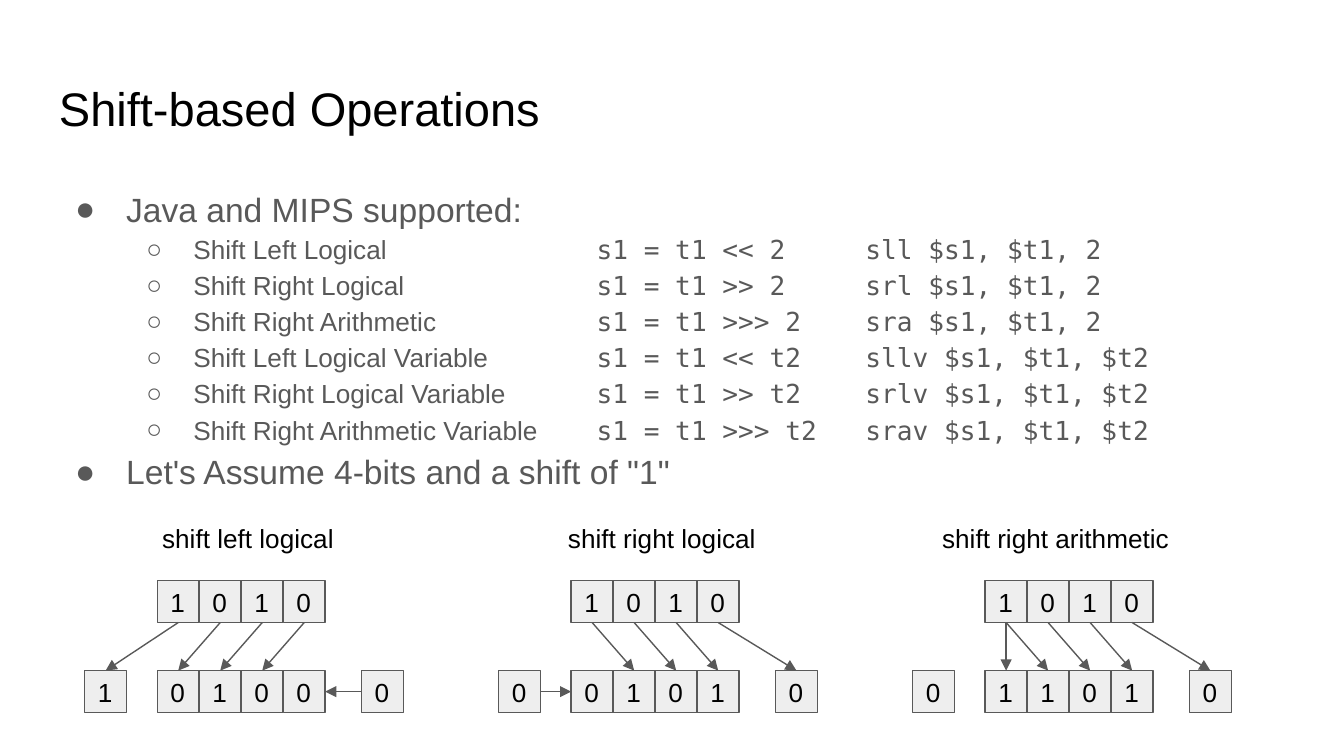
from pptx import Presentation
from pptx.dml.color import RGBColor
from pptx.enum.shapes import MSO_CONNECTOR, MSO_SHAPE
from pptx.enum.text import MSO_ANCHOR, PP_ALIGN
from pptx.oxml.ns import qn
from pptx.util import Inches, Pt
from lxml.etree import SubElement

OPERATIONS = [
    ("Shift Left Logical", "s1 = t1 << 2", "sll $s1, $t1, 2"),
    ("Shift Right Logical", "s1 = t1 >> 2", "srl $s1, $t1, 2"),
    ("Shift Right Arithmetic", "s1 = t1 >>> 2", "sra $s1, $t1, 2"),
    ("Shift Left Logical Variable", "s1 = t1 << t2", "sllv $s1, $t1, $t2"),
    ("Shift Right Logical Variable", "s1 = t1 >> t2", "srlv $s1, $t1, $t2"),
    ("Shift Right Arithmetic Variable", "s1 = t1 >>> t2", "srav $s1, $t1, $t2"),
]
CELL = 5 / 16
BEFORE_TOP, AFTER_TOP = 4.32, 4.99
SLOTS = [-0.54, 0, CELL, 2 * CELL, 3 * CELL, 1.52]
LEFT_MOVES = [(1, 0), (2, 1), (3, 2), (4, 3)]
RIGHT_MOVES = [(1, 2), (2, 3), (3, 4), (4, 5)]


def colour(value):
    return RGBColor.from_string(value)


class SlideBuilder:
    sans = "Arial"
    mono = "DejaVu Sans Mono"
    ink = "000000"
    grey = "595959"
    cell_fill = "EEEEEE"

    def __init__(self, page):
        self.page = page

    def span(self, para, text, size, ink, font=None):
        span = para.add_run()
        span.text = text
        span.font.name = font or self.sans
        span.font.size = Pt(size)
        span.font.color.rgb = colour(ink)

    def frame(self, box):
        frame = box.text_frame
        frame.word_wrap = True
        frame.margin_left = frame.margin_right = Inches(0.1)
        frame.margin_top = frame.margin_bottom = Inches(0.1)
        return frame

    def textbox(self, left, top, width, height):
        box = self.page.shapes.add_textbox(
            Inches(left), Inches(top), Inches(width), Inches(height))
        return self.frame(box)

    def label(self, text, left, top, width, height, size, align):
        para = self.textbox(left, top, width, height).paragraphs[0]
        para.alignment = align
        self.span(para, text, size, self.ink)

    def bullet(self, para, level):
        para.level = level
        para.line_spacing = 1.15
        properties = para._p.get_or_add_pPr()
        properties.set("marL", str(Inches((0.5, 1)[level])))
        properties.set("indent", str(Inches((-0.38, -0.35)[level])))
        bullet_colour = SubElement(properties, qn("a:buClr"))
        SubElement(bullet_colour, qn("a:srgbClr"), val=self.grey)
        SubElement(properties, qn("a:buFont"), typeface=self.sans)
        SubElement(properties, qn("a:buChar"), char="●○"[level])
        if level:
            tabs = SubElement(properties, qn("a:tabLst"))
            for stop in (4, 6):
                SubElement(tabs, qn("a:tab"), pos=str(Inches(stop)), algn="l")

    def body(self, heading, operations, closing):
        frame = self.textbox(0.34, 1.26, 9.32, 3.74)
        para = frame.paragraphs[0]
        self.bullet(para, 0)
        self.span(para, heading, 18, self.grey)
        for name, java, mips in operations:
            para = frame.add_paragraph()
            self.bullet(para, 1)
            self.span(para, f"{name}\t", 14, self.grey)
            self.span(para, f"{java}\t{mips}", 14, self.grey, self.mono)
        para = frame.add_paragraph()
        self.bullet(para, 0)
        self.span(para, closing, 18, self.grey)

    def cell(self, shapes, digit, left, top):
        box = shapes.add_shape(MSO_SHAPE.RECTANGLE, Inches(left), Inches(top),
                               Inches(CELL), Inches(CELL))
        box.shadow.inherit = False
        box.fill.solid()
        box.fill.fore_color.rgb = colour(self.cell_fill)
        box.line.color.rgb = colour(self.grey)
        box.line.width = Pt(0.75)
        frame = self.frame(box)
        frame.vertical_anchor = MSO_ANCHOR.MIDDLE
        para = frame.paragraphs[0]
        para.alignment = PP_ALIGN.LEFT
        self.span(para, digit, 14, self.ink)

    def register(self, digits, left, top):
        group = self.page.shapes.add_group_shape()
        for index, digit in enumerate(digits):
            self.cell(group.shapes, digit, left + index * CELL, top)

    def arrow(self, start_x, start_y, end_x, end_y):
        arrow = self.page.shapes.add_connector(
            MSO_CONNECTOR.STRAIGHT, Inches(start_x), Inches(start_y),
            Inches(end_x), Inches(end_y))
        arrow.line.color.rgb = colour(self.grey)
        arrow.line.width = Pt(0.75)
        SubElement(arrow.line._get_or_add_ln(), qn("a:tailEnd"), type="triangle")
        SubElement(arrow._element.spPr, qn("a:effectLst"))

    def diagram(self, left, name, name_left, name_width, after, moves, feed):
        self.register("1010", left, BEFORE_TOP)
        self.register(after[1:5], left, AFTER_TOP)
        for slot in (5, 0):
            self.cell(self.page.shapes, after[slot], left + SLOTS[slot], AFTER_TOP)
        self.label(name, name_left, 3.79, name_width, 0.44, 14, PP_ALIGN.CENTER)
        centres = [left + slot + CELL / 2 for slot in SLOTS]
        for start, end in moves:
            self.arrow(centres[start], BEFORE_TOP + CELL, centres[end], AFTER_TOP)
        if feed:
            start, end = feed
            middle = AFTER_TOP + CELL / 2
            self.arrow(left + start, middle, left + end, middle)


def main():
    deck = Presentation()
    deck.slide_width = Inches(10)
    deck.slide_height = deck.slide_width * 9 // 16
    builder = SlideBuilder(deck.slides.add_slide(deck.slide_layouts[6]))
    builder.body("Java and MIPS supported:", OPERATIONS,
                 "Let's Assume 4-bits and a shift of \"1\"")
    builder.label("Shift-based Operations", 0.34, 0.49, 9.32, 0.63, 25.2, PP_ALIGN.LEFT)
    diagrams = [
        ("shift left logical", 0.94, 1.81, "101000", LEFT_MOVES, (SLOTS[5], 4 * CELL)),
        ("shift right logical", 4.02, 1.81, "001010", RIGHT_MOVES, (SLOTS[0] + CELL, 0)),
        ("shift right arithmetic", 6.77, 2.17, "011010", RIGHT_MOVES + [(1, 1)], None),
    ]
    for index, diagram in enumerate(diagrams):
        builder.diagram(1.17 + index * 3.08, *diagram)
    deck.save("out.pptx")


if __name__ == "__main__":
    main()
